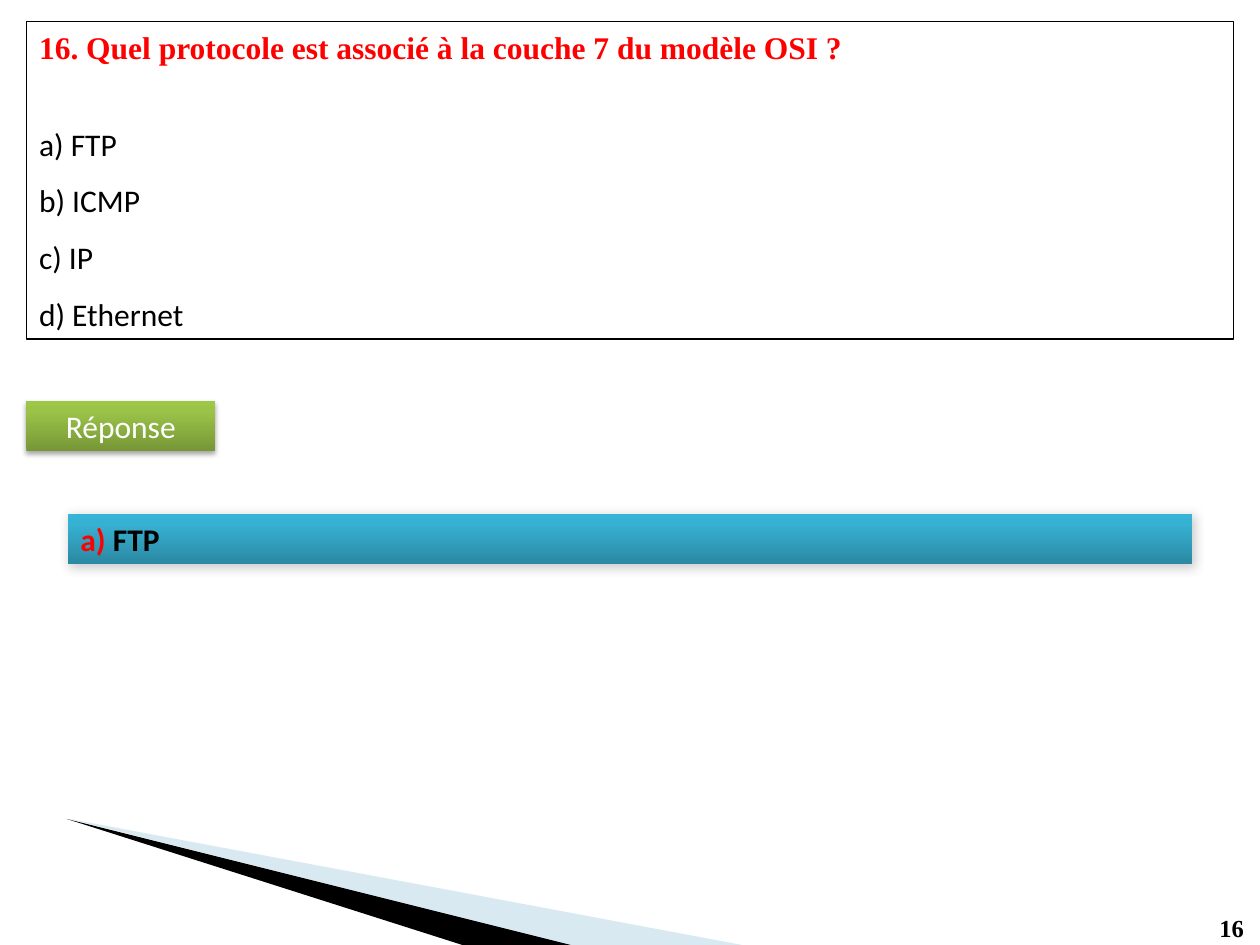
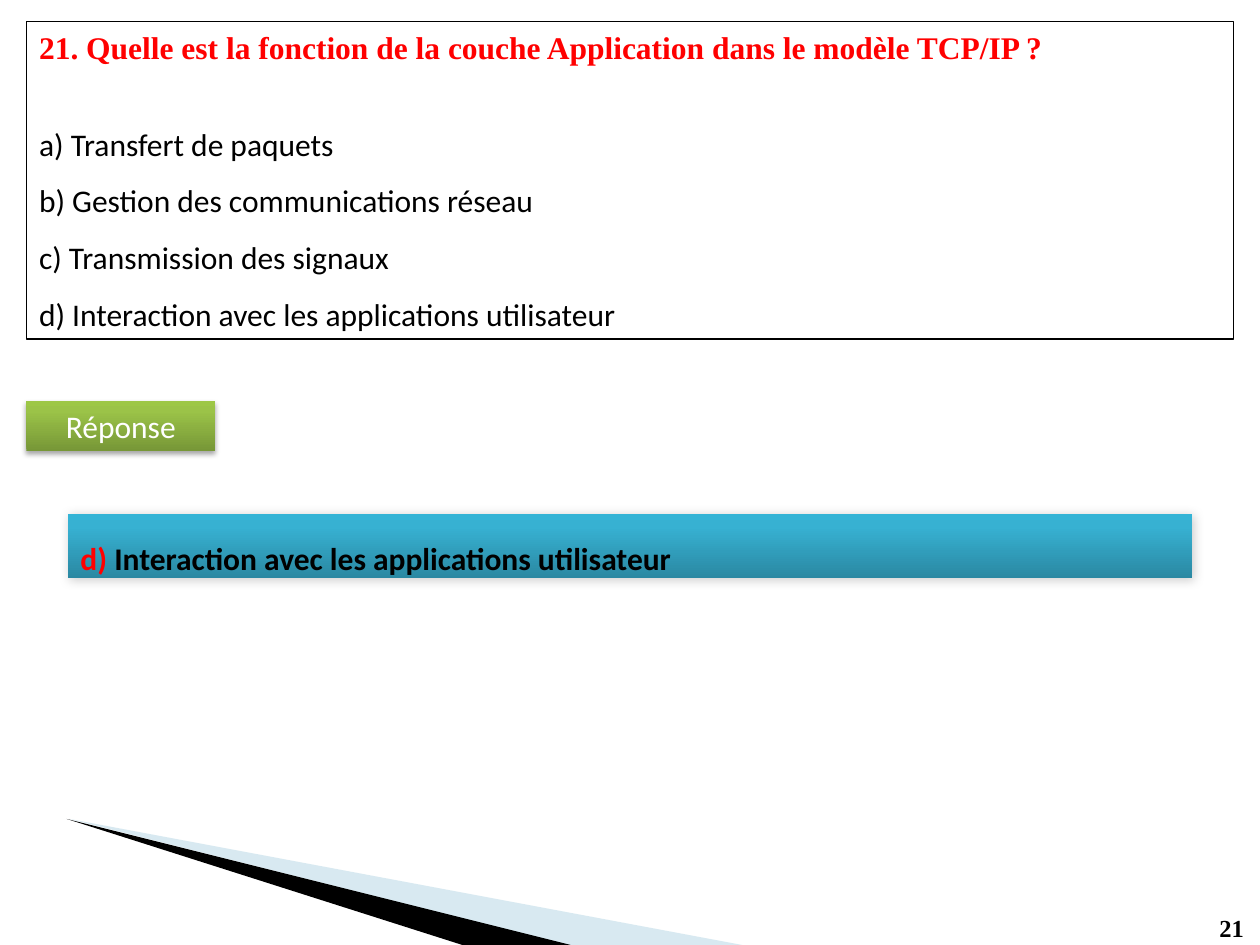
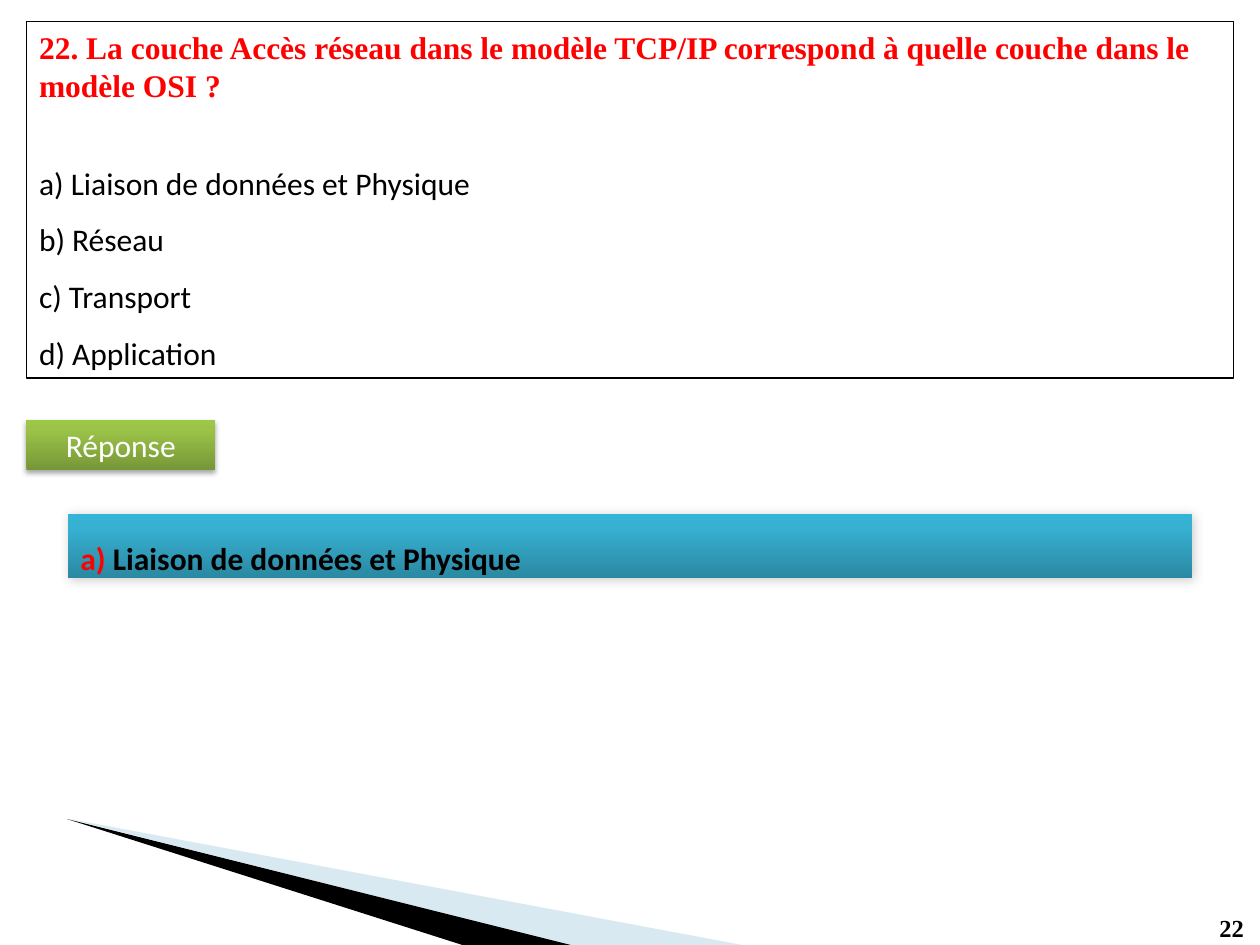
from dataclasses import dataclass

from pptx import Presentation
from pptx.dml.color import RGBColor
from pptx.enum import shapes, text
from pptx.oxml import parse_xml
from pptx.oxml.ns import nsdecls, qn
from pptx.util import Inches, Pt

BLACK = RGBColor(0x00, 0x00, 0x00)
WHITE = RGBColor(0xFF, 0xFF, 0xFF)
RED = RGBColor(0xFF, 0x00, 0x00)
PALE_BLUE = RGBColor(0x9F, 0xCA, 0xDC)
GREENS = [
    (0, RGBColor(0x77, 0x97, 0x37)),
    (80, RGBColor(0x9B, 0xC3, 0x48)),
    (100, RGBColor(0x9D, 0xC7, 0x46)),
]
BLUES = [
    (0, RGBColor(0x2A, 0x88, 0xA2)),
    (80, RGBColor(0x37, 0xB1, 0xD2)),
    (100, RGBColor(0x34, 0xB4, 0xD6)),
]
SERIF, SANS = "Times New Roman", "Calibri"


@dataclass
class Shadow:
    opacity: int
    blur: float
    distance: float
    angle: int


LABEL_SHADOW = Shadow(35, 3.1, 1.8, 90)
ANSWER_SHADOW = Shadow(20, 6, 1, 45)


@dataclass
class Question:
    number: int
    wording: str
    options: list
    answer: int
    box_height: float = 2.52
    label_top: float = 3.18
    answer_height: float = 0.51
    answer_spacing: float = 1.5
    answer_align: text.PP_ALIGN = text.PP_ALIGN.LEFT


QUESTIONS = [
    Question(
        16,
        "Quel protocole est associé à la couche 7 du modèle OSI ?",
        ["FTP", "ICMP", "IP", "Ethernet"],
        answer=0,
        answer_height=0.4,
        answer_spacing=1.0,
        answer_align=text.PP_ALIGN.JUSTIFY,
    ),
    Question(
        21,
        "Quelle est la fonction de la couche Application dans le modèle TCP/IP ?",
        [
            "Transfert de paquets",
            "Gestion des communications réseau",
            "Transmission des signaux",
            "Interaction avec les applications utilisateur",
        ],
        answer=3,
    ),
    Question(
        22,
        "La couche Accès réseau dans le modèle TCP/IP correspond à quelle couche "
        "dans le modèle OSI ?",
        ["Liaison de données et Physique", "Réseau", "Transport", "Application"],
        answer=0,
        box_height=2.83,
        label_top=3.33,
    ),
]


def place(shape, left, top, width, height):
    shape.left, shape.top = Inches(left), Inches(top)
    shape.width, shape.height = Inches(width), Inches(height)


def add_run(paragraph, wording, color, font=SANS, size=18, bold=False):
    run = paragraph.add_run()
    run.text = wording
    run.font.name, run.font.size, run.font.bold = font, Pt(size), bold
    run.font.color.rgb = color


def set_frame(shape, anchor):
    frame = shape.text_frame
    frame.word_wrap = True
    frame.auto_size = text.MSO_AUTO_SIZE.NONE
    frame.vertical_anchor = anchor
    return frame


def add_gradient_box(slide, box, stops, shadow):
    """Add a borderless rectangle shaded from bottom to top, with a soft shadow."""
    shape = slide.shapes.add_shape(
        shapes.MSO_SHAPE.RECTANGLE, *(Inches(length) for length in box)
    )
    shape.line.fill.background()
    shape.fill.gradient()
    shape.fill.gradient_angle = 90
    stop_list = next(shape.element.iter(qn("a:gsLst")))
    for stop in list(stop_list):
        stop_list.remove(stop)
    for position, color in stops:
        stop_list.append(parse_xml(
            f'<a:gs {nsdecls("a")} pos="{position * 1000}">'
            f'<a:srgbClr val="{color}"/></a:gs>'
        ))
    shape.shadow.inherit = False
    next(shape.element.iter(qn("a:effectLst"))).append(parse_xml(
        f'<a:outerShdw {nsdecls("a")} blurRad="{Pt(shadow.blur)}" '
        f'dist="{Pt(shadow.distance)}" dir="{shadow.angle * 60000}" rotWithShape="0">'
        f'<a:srgbClr val="000000"><a:alpha val="{shadow.opacity * 1000}"/></a:srgbClr>'
        f'</a:outerShdw>'
    ))
    return shape


def add_wedge(slide, points, color, opacity=100):
    start, *others = [(Inches(x), Inches(y)) for x, y in points]
    builder = slide.shapes.build_freeform(*start)
    builder.add_line_segments(others)
    wedge = builder.convert_to_shape()
    wedge.fill.solid()
    wedge.fill.fore_color.rgb = color
    wedge.line.fill.background()
    wedge.shadow.inherit = False
    if opacity < 100:
        fill_color = next(wedge.element.iter(qn("a:srgbClr")))
        fill_color.append(
            parse_xml(f'<a:alpha {nsdecls("a")} val="{opacity * 1000}"/>')
        )
    return wedge


def add_corner_wedges(slide, layout):
    """Build the wedges on a slide, then move them behind everything on its layout."""
    wedges = [
        add_wedge(slide, [(0.55, 6.5), (4.51, 7.5), (5.89, 7.5)], PALE_BLUE, 40),
        add_wedge(slide, [(0.53, 6.5), (3.67, 7.5), (4.53, 7.5)], BLACK),
    ]
    for index, wedge in enumerate(wedges):
        next(wedge.element.iter(qn("p:cNvPr"))).set("id", str(100 + index))
        layout.shapes.element.insert(2 + index, wedge.element)


def option_label(index):
    return "abcd"[index] + ") "


def add_question(slide, question, box):
    """Put the question at the top of the outlined box and its options at the bottom."""
    left, top, width, height = box
    title = slide.shapes.title
    place(title, left, top, width, 0.75)
    paragraph = set_frame(title, text.MSO_ANCHOR.TOP).paragraphs[0]
    paragraph.alignment = text.PP_ALIGN.LEFT
    add_run(paragraph, f"{question.number}. {question.wording}", RED, SERIF, bold=True)

    body = slide.placeholders[1]
    place(body, *box)
    body.line.color.rgb = BLACK
    body.line.width = Pt(0.75)
    frame = set_frame(body, text.MSO_ANCHOR.BOTTOM)
    for index, option in enumerate(question.options):
        paragraph = frame.add_paragraph() if index else frame.paragraphs[0]
        paragraph.line_spacing = 1.5
        paragraph.space_before = Pt(0)
        properties = paragraph._p.get_or_add_pPr()
        properties.set("marL", "0")
        properties.set("indent", "0")
        properties.append(parse_xml(f'<a:buNone {nsdecls("a")}/>'))
        add_run(paragraph, option_label(index) + option, BLACK)


def add_answer_label(slide, box):
    label = add_gradient_box(slide, box, GREENS, LABEL_SHADOW)
    paragraph = set_frame(label, text.MSO_ANCHOR.TOP).paragraphs[0]
    paragraph.alignment = text.PP_ALIGN.CENTER
    add_run(paragraph, "Réponse", WHITE)


def add_answer(slide, question, box):
    bar = add_gradient_box(slide, box, BLUES, ANSWER_SHADOW)
    paragraph = set_frame(bar, text.MSO_ANCHOR.TOP).paragraphs[0]
    paragraph.alignment = question.answer_align
    paragraph.line_spacing = question.answer_spacing
    add_run(paragraph, option_label(question.answer), RED, bold=True)
    add_run(paragraph, question.options[question.answer], BLACK, bold=True)


def add_page_number(slide, number, box):
    page = slide.shapes.add_textbox(*(Inches(length) for length in box))
    page.text_frame.word_wrap = False
    add_run(page.text_frame.paragraphs[0], str(number), BLACK, SERIF, 14, True)


def fill_question_slide(slide, question):
    add_page_number(slide, question.number, (9.58, 7.2, 0.4, 0.34))
    add_question(slide, question, (0.21, 0.17, 9.58, question.box_height))
    add_answer_label(slide, (0.21, question.label_top, 1.5, 0.4))
    add_answer(slide, question, (0.54, 4.08, 8.92, question.answer_height))


def main():
    presentation = Presentation()
    presentation.slide_width, presentation.slide_height = Inches(10), Inches(7.5)
    layout = presentation.slide_layouts[1]
    slides = [presentation.slides.add_slide(layout) for _ in QUESTIONS]
    add_corner_wedges(slides[0], layout)
    for slide, question in zip(slides, QUESTIONS):
        fill_question_slide(slide, question)
    presentation.save("out.pptx")


if __name__ == "__main__":
    main()
